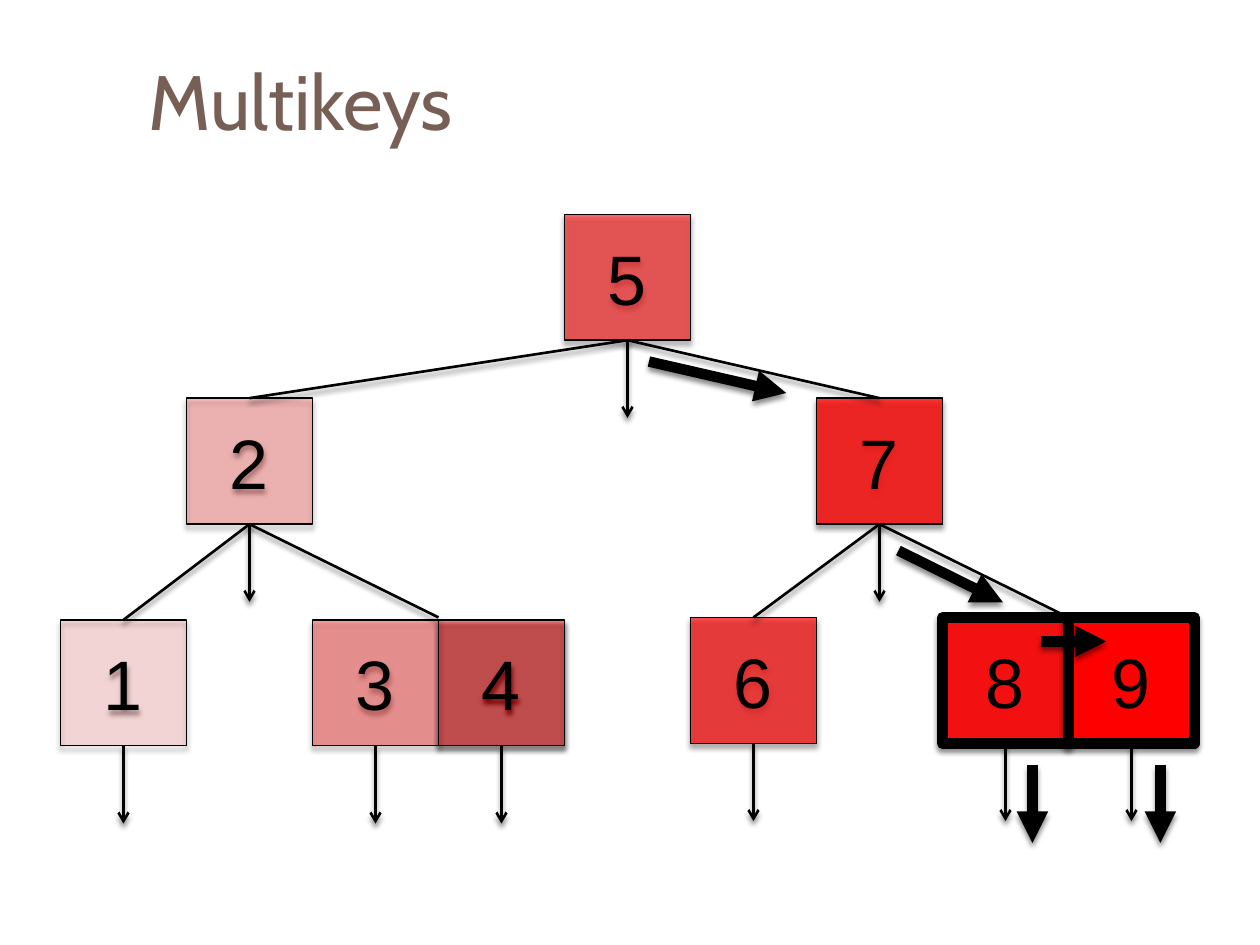
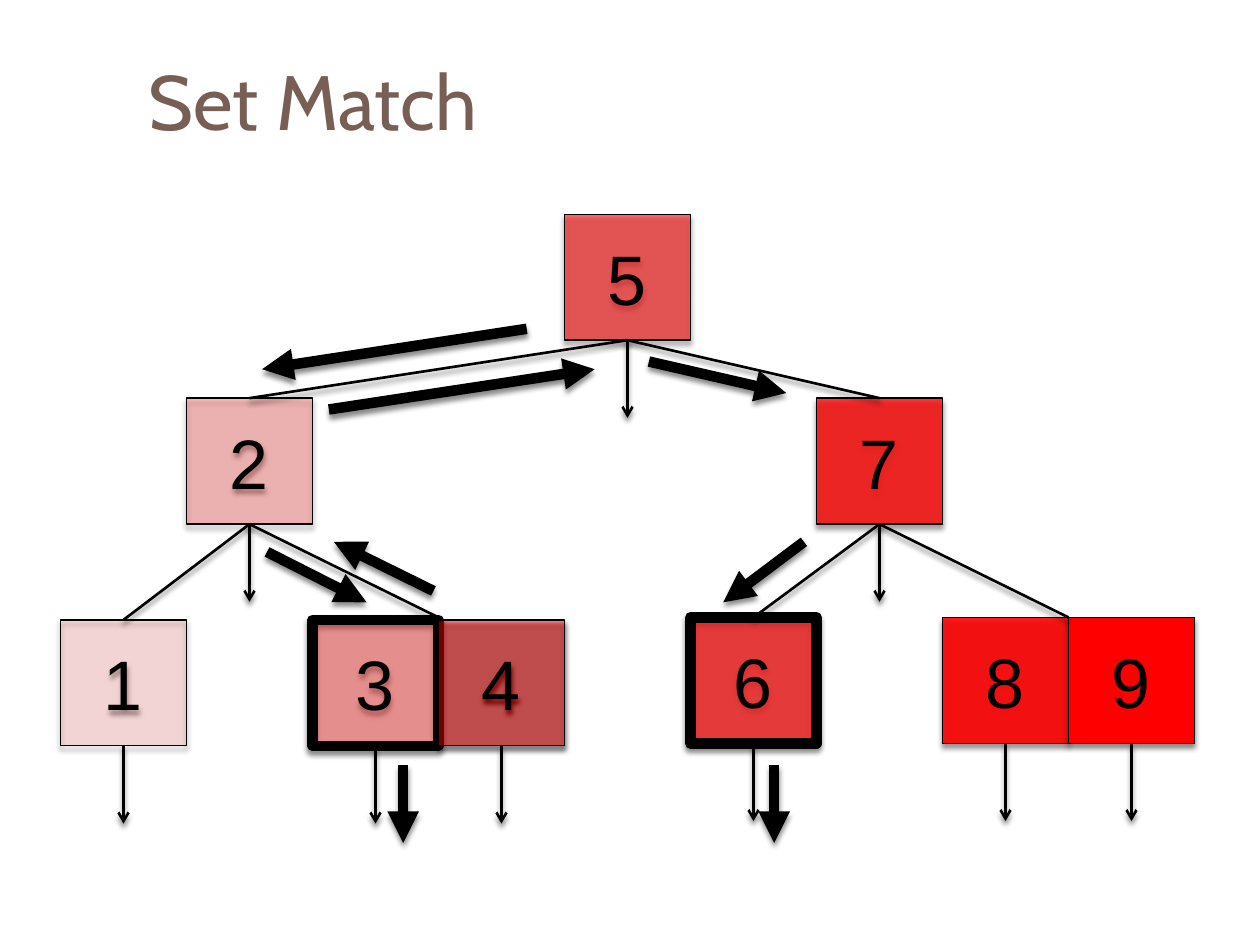
from dataclasses import dataclass
from typing import NamedTuple

from lxml.etree import SubElement
from pptx import Presentation
from pptx.dml.color import RGBColor
from pptx.enum.shapes import MSO_CONNECTOR, MSO_SHAPE
from pptx.enum.text import MSO_ANCHOR as Anchor, PP_ALIGN as Align
from pptx.oxml.ns import qn
from pptx.util import Pt


@dataclass(frozen=True)
class Theme:
    key_red: RGBColor = RGBColor(0xFF, 0x00, 0x00)
    ink: RGBColor = RGBColor(0x00, 0x00, 0x00)
    title_brown: RGBColor = RGBColor(0x77, 0x5F, 0x55)
    title_font: str = "Cabin"
    key_font: str = "Arial"
    title_size: int = 44
    key_size: int = 40
    outline: float = 0.75
    edge: float = 1.5
    heavy: float = 6


class Point(NamedTuple):
    x: float
    y: float


class Side(NamedTuple):
    """The middle of one side of a key box."""
    box: object
    site: int


TOP, BOTTOM = 0, 2
BOX = 72
LEFT_EDGE = 34.56
POINTER_LENGTH = 44.4
ROOT_Y, MIDDLE_Y, LEFT_LEAF_Y, RIGHT_LEAF_Y = 122.4, 227.52, 354.24, 352.8
KEY_TOPS = {1: LEFT_LEAF_Y, 2: MIDDLE_Y, 3: LEFT_LEAF_Y, 4: LEFT_LEAF_Y, 5: ROOT_Y,
            6: RIGHT_LEAF_Y, 7: MIDDLE_Y, 8: RIGHT_LEAF_Y, 9: RIGHT_LEAF_Y}
SINGLE_CHILDREN = [(2, 1), (5, 2), (5, 7), (7, 6)]
PAIRED_CHILDREN = [(2, 4), (7, 9)]  # the edge meets the seam left of this key


def key_left(key):
    return LEFT_EDGE + (key - 1) * BOX


def apply(target, values):
    for name, value in values.items():
        setattr(target, name, value)


def cast_shadow(shape):
    effects = SubElement(shape.element.spPr, qn("a:effectLst"))
    shadow = SubElement(effects, qn("a:outerShdw"), blurRad=str(Pt(3)),
                        dist=str(Pt(2.4)), dir="5400000", rotWithShape="0")
    black = SubElement(shadow, qn("a:srgbClr"), val="000000")
    SubElement(black, qn("a:alpha"), val="45000")


class TreeDeck:
    def __init__(self, theme):
        self.theme = theme
        self.deck = Presentation()
        apply(self.deck, {"slide_width": Pt(720), "slide_height": Pt(540)})
        self.slide = None

    def label(self, frame, text, align, **font):
        apply(frame, {"word_wrap": True, "vertical_anchor": Anchor.MIDDLE})
        paragraph = frame.paragraphs[0]
        paragraph.alignment = align
        run = paragraph.add_run()
        run.text = text
        run.font.color.rgb = font.pop("color")
        apply(run.font, font)

    def new_slide(self, title):
        self.slide = self.deck.slides.add_slide(self.deck.slide_layouts[6])
        heading = self.slide.shapes.add_textbox(Pt(77.76), Pt(18), Pt(642.24), Pt(77.76))
        self.label(heading.text_frame, title, Align.LEFT, color=self.theme.title_brown,
                   name=self.theme.title_font, size=Pt(self.theme.title_size))

    def key_box(self, key, matched):
        theme = self.theme
        box = self.slide.shapes.add_shape(MSO_SHAPE.RECTANGLE, Pt(key_left(key)),
                                          Pt(KEY_TOPS[key]), Pt(BOX), Pt(BOX))
        box.fill.solid()
        box.fill.fore_color.rgb = theme.key_red
        opacity = 12 + 11 * (key - 1)
        SubElement(box.element.spPr.find(".//" + qn("a:srgbClr")), qn("a:alpha"),
                   val=str(opacity * 1000))
        box.line.color.rgb = theme.ink
        box.line.width = Pt(theme.heavy if matched else theme.outline)
        cast_shadow(box)
        self.label(box.text_frame, str(key), Align.CENTER, color=theme.ink,
                   name=theme.key_font, size=Pt(theme.key_size))
        return box

    def line(self, start, end, width, tip=None):
        """Draw from start to end, each a Point or a Side to join."""
        ends = [(0, 0) if isinstance(place, Side) else (Pt(place.x), Pt(place.y))
                for place in (start, end)]
        link = self.slide.shapes.add_connector(MSO_CONNECTOR.STRAIGHT, *ends[0], *ends[1])
        for place, join in ((start, link.begin_connect), (end, link.end_connect)):
            if isinstance(place, Side):
                join(place.box, place.site)
        link.line.color.rgb = self.theme.ink
        link.line.width = Pt(width)
        if tip:
            SubElement(link.element.spPr.find(qn("a:ln")), qn("a:tailEnd"), type=tip)
        cast_shadow(link)

    def tree(self, matched):
        edge = self.theme.edge
        boxes = {key: self.key_box(key, key in matched) for key in KEY_TOPS}
        for parent, child in SINGLE_CHILDREN:
            self.line(Side(boxes[parent], BOTTOM), Side(boxes[child], TOP), edge)
        for parent, child in PAIRED_CHILDREN:
            seam = Point(key_left(child), RIGHT_LEAF_Y)
            self.line(Side(boxes[parent], BOTTOM), seam, edge)
        for key, box in boxes.items():
            pointer_end = Point(key_left(key) + BOX / 2,
                                KEY_TOPS[key] + BOX + POINTER_LENGTH)
            self.line(Side(box, BOTTOM), pointer_end, edge, "arrow")

    def search_route(self, steps):
        for x1, y1, x2, y2 in steps:
            self.line(Point(x1, y1), Point(x2, y2), self.theme.heavy, "triangle")


def hit(x):
    """The step down from a matched leaf key."""
    return x, 437, x, 481.7


ROOT_TO_7 = (370.8, 206.6, 449.3, 224.6)
SEARCHES = [
    ("Multikeys", {8, 9}, [
        ROOT_TO_7, hit(590), hit(663.1),
        (513.4, 314.6, 573.1, 344.2),
        (594.7, 366.5, 632.2, 366.5),
    ]),
    ("Set Match", {3, 6}, [
        ROOT_TO_7, hit(230.4),
        (459.4, 309.6, 413.3, 344.2),
        hit(442.4),
        (301, 187.9, 149.8, 211),
        (152.6, 315.4, 209.5, 344.2),
        (247.7, 337.7, 190.8, 309.6),
        (187.9, 234, 339.8, 211),
    ]),
]


def main():
    tree_deck = TreeDeck(Theme())
    for title, matched, steps in SEARCHES:
        tree_deck.new_slide(title)
        tree_deck.tree(matched)
        tree_deck.search_route(steps)
    tree_deck.deck.save("out.pptx")


if __name__ == "__main__":
    main()
